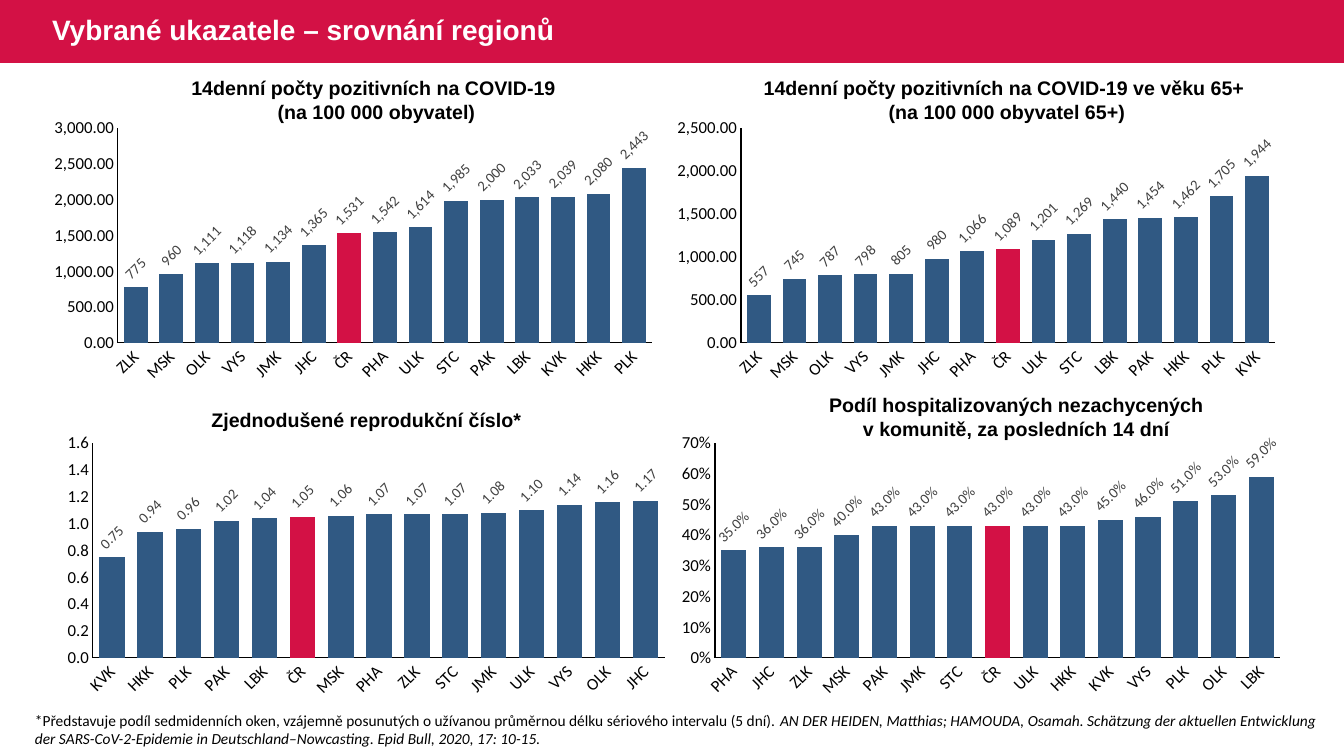
from lxml import etree
from pptx import Presentation
from pptx import util as u
from pptx.chart.data import CategoryChartData
from pptx.dml.color import RGBColor
from pptx.enum import chart as ch, shapes, text
from pptx.oxml.ns import qn

COLORS = {"band": "D31145", "bar": "305983", "white": "FFFFFF",
          "black": "000000", "label": "404040"}
TITLE = "Vybrané ukazatele – srovnání regionů"
NATION = "ČR"
FOOTNOTE = [
    ("*Představuje podíl sedmidenních oken, vzájemně posunutých o užívanou "
     "průměrnou délku sériového intervalu (5 dní). ", False),
    ("AN DER HEIDEN, Matthias; HAMOUDA, Osamah. Schätzung der aktuellen "
     "Entwicklung der SARS-CoV-2-Epidemie in Deutschland–Nowcasting. "
     "Epid Bull, 2020, 17: 10-15.", True),
]
# Boxes are left, top, width, height in px; "plot" is the area inside the axes.
CHARTS = [
    {"heading": "14denní počty pozitivních na COVID-19 \n(na 100 000 obyvatel)",
     "heading_box": (132, 71, 489, 57),
     "box": (42, 112, 622, 275), "plot": (118, 128, 534, 215),
     "max": 3000, "step": 500, "axis_format": "#,##0.00", "label_format": "#,##0",
     "regions": "ZLK MSK OLK VYS JMK JHC ČR PHA ULK STC PAK LBK KVK HKK PLK",
     "values": [775, 960, 1111, 1118, 1134, 1365, 1531, 1542, 1614, 1985,
                2000, 2033, 2039, 2080, 2443]},
    {"heading": "14denní počty pozitivních na COVID-19 ve věku 65+ \n"
                "(na 100 000 obyvatel 65+)",
     "heading_box": (753, 71, 508, 57),
     "box": (665, 112, 622, 275), "plot": (741, 128, 534, 215),
     "max": 2500, "step": 500, "axis_format": "#,##0.00", "label_format": "#,##0",
     "regions": "ZLK MSK OLK VYS JMK JHC PHA ČR ULK STC LBK PAK HKK PLK KVK",
     "values": [557, 745, 787, 798, 805, 980, 1066, 1089, 1201, 1269,
                1440, 1454, 1462, 1705, 1944]},
    {"heading": "Zjednodušené reprodukční číslo*",
     "heading_box": (122, 403, 489, 34),
     "box": (55, 427, 622, 275), "plot": (93, 443, 572, 215),
     "max": 1.6, "step": 0.2, "axis_format": "#,##0.0", "label_format": "#,##0.00",
     "regions": "KVK HKK PLK PAK LBK ČR MSK PHA ZLK STC JMK ULK VYS OLK JHC",
     "values": [0.75, 0.94, 0.96, 1.02, 1.04, 1.05, 1.06, 1.07, 1.07, 1.07,
                1.08, 1.1, 1.14, 1.16, 1.17]},
    {"heading": "Podíl hospitalizovaných nezachycených\n"
                "v komunitě, za posledních 14 dní",
     "heading_box": (772, 388, 489, 57),
     "box": (670, 427, 622, 275), "plot": (715, 443, 565, 215),
     "max": 0.7, "step": 0.1, "axis_format": "0%", "label_format": "0.0%",
     "regions": "PHA JHC ZLK MSK PAK JMK STC ČR ULK HKK KVK VYS PLK OLK LBK",
     "values": [0.35, 0.36, 0.36, 0.4, 0.43, 0.43, 0.43, 0.43, 0.43, 0.43,
                0.45, 0.46, 0.51, 0.53, 0.59]},
]
PX = 914400 / 100.8
TITLE_FONT = {"name": "Arial", "size": 20, "bold": True, "color": "white"}
HEADING_FONT = {"name": "Arial", "size": 14, "bold": True, "color": "black"}
NOTE_FONT = {"name": "Calibri", "size": 11, "color": "black"}
AXIS_FONT = {"name": "Calibri", "size": 12, "color": "black"}
LABEL_FONT = {"name": "Calibri", "size": 10.5, "color": "label"}


def emu(box):
    return [round(v * PX) for v in box]


def rgb(name):
    return RGBColor.from_string(COLORS[name])


def style(font, fmt):
    for key, value in fmt.items():
        if key == "color":
            font.color.rgb = rgb(value)
        else:
            setattr(font, key, u.Pt(value) if key == "size" else value)


def fill(sp, color):
    sp.fill.solid()
    sp.fill.fore_color.rgb = rgb(color)


def add_text(slide, box):
    tf = slide.shapes.add_textbox(*emu(box)).text_frame
    tf.word_wrap = True
    return tf


def add_heading(slide, item):
    tf = add_text(slide, item["heading_box"])
    tf.text = item["heading"]
    for p in tf.paragraphs:
        p.alignment = text.PP_ALIGN.CENTER
        style(p.font, HEADING_FONT)


def place_plot(chart, box, plot):
    """Fix the area inside the axes as fractions of the chart frame."""
    area = chart._chartSpace.chart.plotArea
    for old in area.findall(qn("c:layout")):
        area.remove(old)
    layout = etree.Element(qn("c:layout"))
    area.insert(0, layout)
    manual = etree.SubElement(layout, qn("c:manualLayout"))
    left, top, width, height = box
    x, y, w, h = plot
    for tag, value in [("layoutTarget", "inner"), ("xMode", "edge"), ("yMode", "edge"),
                       ("x", (x - left) / width), ("y", (y - top) / height),
                       ("w", w / width), ("h", h / height)]:
        etree.SubElement(manual, qn("c:" + tag)).set("val", str(value))


def add_bar_chart(slide, item):
    regions = item["regions"].split()
    data = CategoryChartData()
    data.categories = regions
    data.add_series("Series 1", item["values"])
    chart = slide.shapes.add_chart(ch.XL_CHART_TYPE.COLUMN_CLUSTERED,
                                   *emu(item["box"]), data).chart
    chart.has_legend = chart.has_title = False
    style(chart.font, {**AXIS_FONT, "size": 10})

    for axis in (chart.category_axis, chart.value_axis):
        axis.has_major_gridlines = False
        axis.major_tick_mark = axis.minor_tick_mark = ch.XL_TICK_MARK.NONE
        axis.format.line.color.rgb = rgb("black")
        axis.format.line.width = u.Pt(0.75)
        style(axis.tick_labels.font, AXIS_FONT)
    axis = chart.value_axis
    axis.minimum_scale, axis.maximum_scale = 0, item["max"]
    axis.major_unit = item["step"]
    axis.tick_labels.number_format = item["axis_format"]
    axis.tick_labels.number_format_is_linked = False

    plot = chart.plots[0]
    plot.gap_width, plot.overlap, plot.vary_by_categories = 50, -27, False
    series = plot.series[0]
    series.invert_if_negative = False
    fill(series.format, "bar")
    fill(series.points[regions.index(NATION)].format, "band")
    labels = series.data_labels
    labels.show_value = True
    labels.position = ch.XL_LABEL_POSITION.OUTSIDE_END
    labels.number_format = item["label_format"]
    labels.number_format_is_linked = False
    style(labels.font, LABEL_FONT)

    for body in chart._chartSpace.xpath(".//c:dLbls//a:bodyPr | .//c:catAx//a:bodyPr"):
        body.set("rot", str(-45 * 60000))
        body.set("vert", "horz")
    place_plot(chart, item["box"], item["plot"])


def main():
    prs = Presentation()
    prs.slide_width, prs.slide_height = emu((1344, 756))
    slide = prs.slides.add_slide(prs.slide_layouts[5])

    band = slide.shapes.add_shape(shapes.MSO_SHAPE.RECTANGLE, *emu((0, 0, 1344, 63)))
    band.shadow.inherit = False
    fill(band, "band")
    band.line.fill.background()
    slide.shapes._spTree.insert(2, band._element)

    title = slide.shapes.title
    title.left, title.top, title.width, title.height = emu((42, 0, 820, 63))
    tf = title.text_frame
    tf.text = TITLE
    tf.vertical_anchor = text.MSO_ANCHOR.MIDDLE
    tf.auto_size = text.MSO_AUTO_SIZE.NONE
    p = tf.paragraphs[0]
    p.alignment, p.line_spacing = text.PP_ALIGN.LEFT, 0.9
    style(p.font, TITLE_FONT)

    for item in CHARTS:
        add_heading(slide, item)
        add_bar_chart(slide, item)

    p = add_text(slide, (25, 706, 1319, 47)).paragraphs[0]
    for words, italic in FOOTNOTE:
        r = p.add_run()
        r.text = words
        style(r.font, {**NOTE_FONT, "italic": italic})

    prs.save("out.pptx")


if __name__ == "__main__":
    main()
